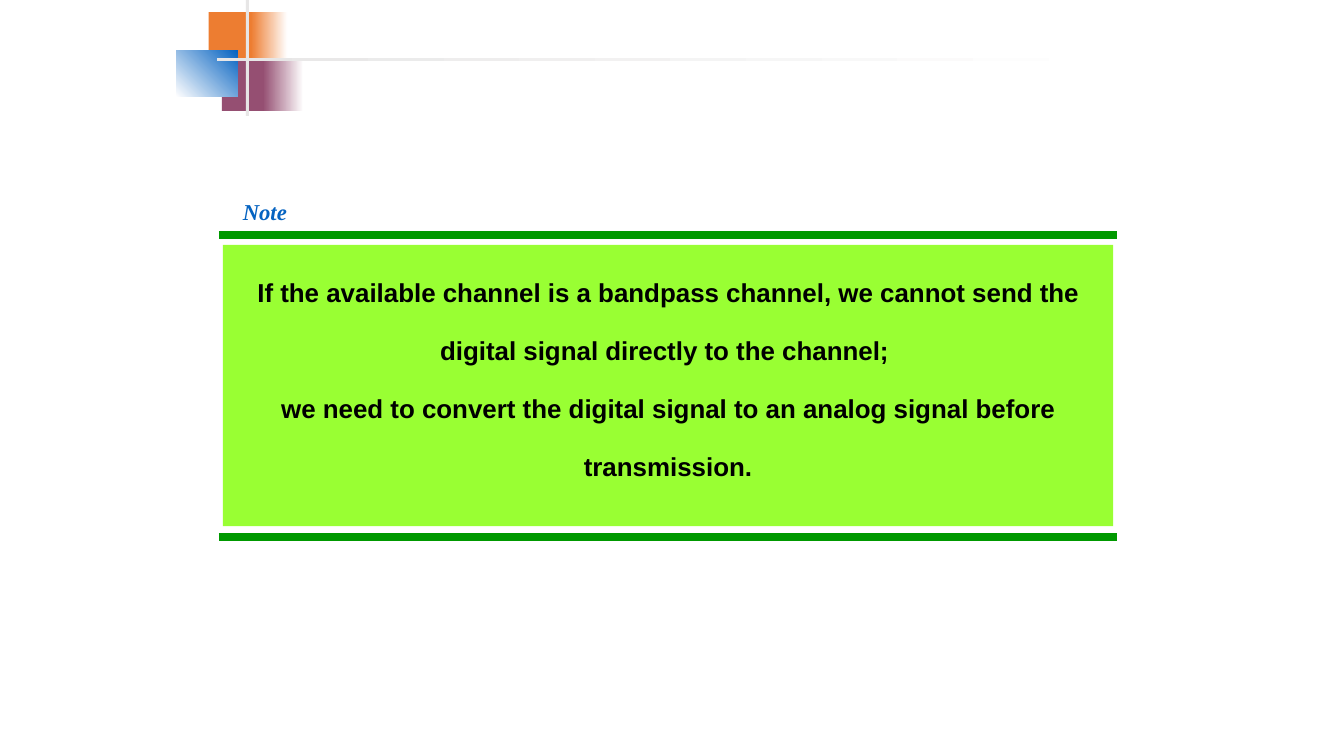
"""Build a note slide with a green statement panel and a corner ornament."""
from pptx import Presentation
from pptx.dml.color import RGBColor
from pptx.enum.shapes import MSO_CONNECTOR, MSO_SHAPE
from pptx.enum.text import MSO_ANCHOR, PP_ALIGN
from pptx.oxml.ns import qn
from pptx.util import Emu, Pt
from lxml.etree import SubElement

PIXEL = 9144
WHITE = RGBColor(0xFF, 0xFF, 0xFF)
BLACK = RGBColor(0x00, 0x00, 0x00)
ORANGE = RGBColor(0xED, 0x7D, 0x31)
PLUM = RGBColor(0x95, 0x4F, 0x72)
BLUE = RGBColor(0x05, 0x63, 0xC1)
GRAY = RGBColor(0xE7, 0xE6, 0xE6)
GREEN = RGBColor(0x00, 0x99, 0x00)
LIME = RGBColor(0x99, 0xFF, 0x33)

STATEMENT = (
    "If the available channel is a bandpass channel, we cannot send the "
    "digital signal directly to the channel; \v"
    "we need to convert the digital signal to an analog signal before transmission."
)


class NotePage:
    def __init__(self, deck):
        self.page = deck.slides.add_slide(deck.slide_layouts[6])

    def lengths(self, *pixels):
        return [Emu(pixel * PIXEL) for pixel in pixels]

    def block(self, bounds, color, end_color=None, angle=0):
        box = self.page.shapes.add_shape(MSO_SHAPE.RECTANGLE, *self.lengths(*bounds))
        box.shadow.inherit = False
        box.line.fill.background()
        if end_color is None:
            box.fill.solid()
            box.fill.fore_color.rgb = color
        else:
            box.fill.gradient()
            box.fill.gradient_angle = angle
            for stop, shade in zip(box.fill.gradient_stops, (color, end_color)):
                stop.color.rgb = shade
        return box

    def rule(self, left, right, top):
        line = self.page.shapes.add_connector(
            MSO_CONNECTOR.STRAIGHT, *self.lengths(left, top, right, top))
        line.line.color.rgb = GREEN
        line.line.width = Pt(6)
        SubElement(line._element.spPr, qn("a:effectLst"))

    def label(self, bounds):
        return self.page.shapes.add_textbox(*self.lengths(*bounds))

    def set_text(self, box, text, font_name, size, color, anchor, italic=None):
        frame = box.text_frame
        frame.word_wrap = True
        frame.vertical_anchor = anchor
        para = frame.paragraphs[0]
        para.text = text
        for span in para.runs:
            font = span.font
            font.name, font.size = font_name, Pt(size)
            font.bold, font.italic = True, italic
            font.color.rgb = color
        return para


def main():
    deck = Presentation()
    deck.slide_width, deck.slide_height = Emu(1333 * PIXEL), Emu(750 * PIXEL)
    note = NotePage(deck)

    note.block((207, 12, 48, 52), ORANGE)
    note.block((249, 12, 36, 52), ORANGE, WHITE)
    note.block((220, 58, 46, 52), PLUM)
    note.block((261, 58, 40, 52), PLUM, WHITE)
    note.block((175, 50, 61, 46), WHITE, BLUE, angle=45)
    note.block((244, 0, 3, 115), GRAY)
    note.block((215, 58, 900, 3), GRAY, WHITE)

    for top in (233, 533):
        note.rule(217, 1108, top)

    panel = note.block((221, 243, 883, 279), LIME)
    para = note.set_text(panel, STATEMENT, "Arial", 18.5, BLACK, MSO_ANCHOR.TOP)
    para.alignment = PP_ALIGN.CENTER
    para.line_spacing = Pt(41.4)

    heading = note.label((231, 167, 96, 57))
    heading.text_frame.margin_bottom = Emu(PIXEL)
    note.set_text(heading, "Note", "Times New Roman", 16.2, BLUE, MSO_ANCHOR.BOTTOM, italic=True)

    deck.save("out.pptx")


if __name__ == "__main__":
    main()
